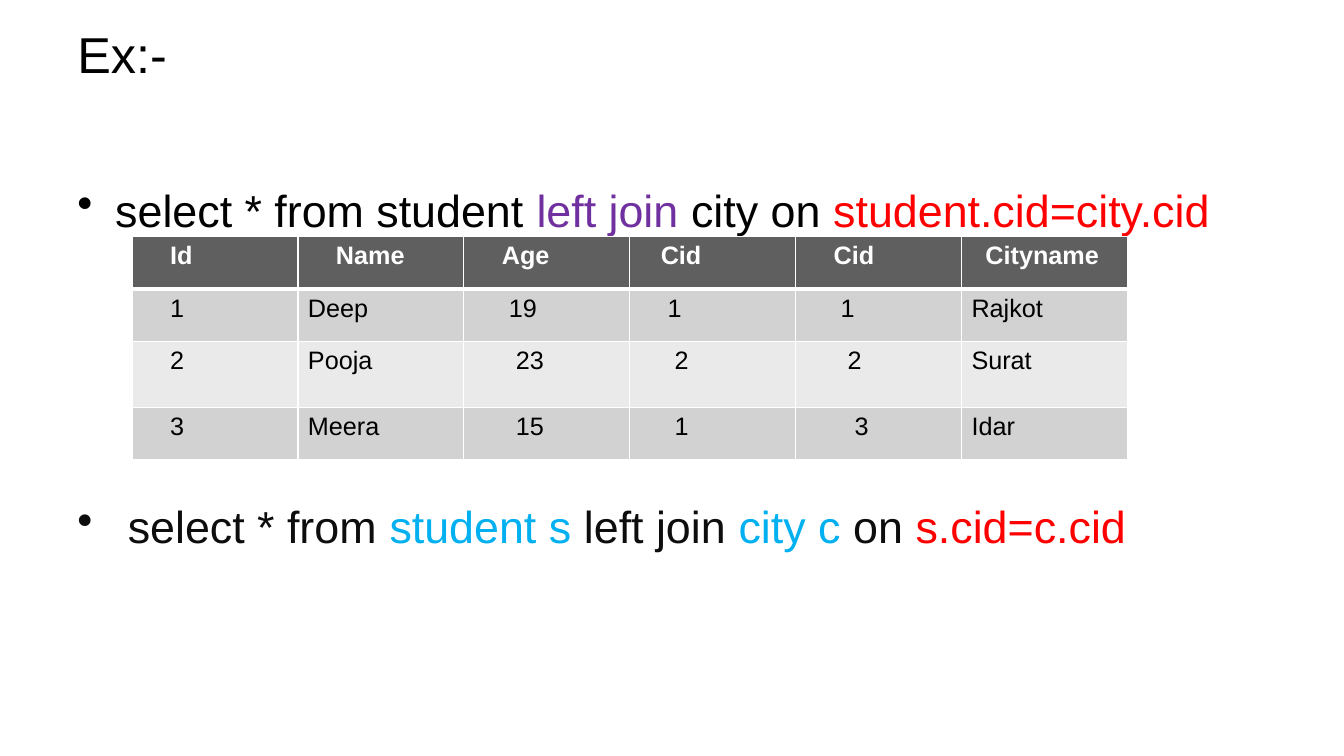
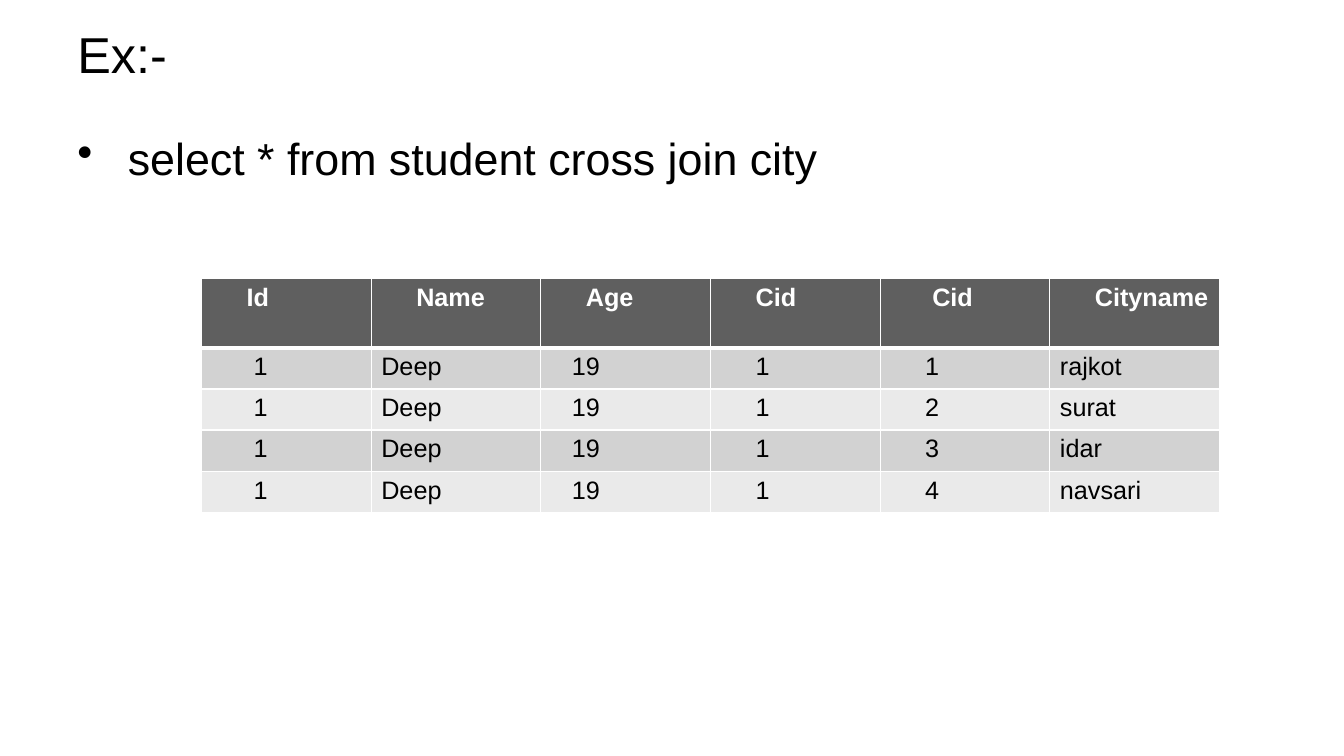
from lxml import etree
from pptx import Presentation
from pptx.dml.color import RGBColor
from pptx.enum.text import MSO_ANCHOR
from pptx.oxml.ns import qn
from pptx.util import Pt

FONT = "Arial"
BLACK = RGBColor(0x00, 0x00, 0x00)
INK = RGBColor(0x0D, 0x0D, 0x0D)
WHITE = RGBColor(0xFF, 0xFF, 0xFF)
PURPLE = RGBColor(0x70, 0x30, 0xA0)
RED = RGBColor(0xFF, 0x00, 0x00)
SKY = RGBColor(0x00, 0xB0, 0xF0)
HEADER = RGBColor(0x5F, 0x5F, 0x5F)
BANDS = [RGBColor(0xD2, 0xD2, 0xD2), RGBColor(0xEA, 0xEA, 0xEA)]

# Content: bullets are (space before, text indent, runs)
TITLE = "Ex:-"
COLUMNS = ["Id", "Name", "Age", "Cid", "Cid", "Cityname"]
CROSS_STEPS = [6, 0, 3, 5, 5, 0]

SLIDES = [
    dict(
        body=(126.7, 887, 386.6),
        bullets=[
            (4, 27, [("select * from student ", BLACK), ("left join", PURPLE),
                     (" city on ", BLACK), ("student.cid=city.cid", RED)]),
            (187.5, 36, [("select * from ", INK), ("student s", SKY),
                         (" left join ", INK), ("city c", SKY),
                         (" on ", INK), ("s.cid=c.cid", RED)]),
        ],
        table=(94.3, 169.2, 118.5),
        heights=[37.4, 37.4, 47, 37.4],
        rows=[["1", "Deep", "19", "1", "1", "Rajkot"],
              ["2", "Pooja", "23", "2", "2", "Surat"],
              ["3", "Meera", "15", "1", "3", "Idar"]],
        steps=[[4, 4, 4, 3, 4, 2], [4, 0, 5, 4, 5, 0],
               [4, 0, 6, 5, 6, 0], [4, 0, 6, 5, 7, 0]],
    ),
    dict(
        body=(90, 877.7, 434.2),
        bullets=[(4, 36, [("select * from student cross join city", BLACK)])],
        table=(144, 198.7, 121.2),
        heights=[49.7] + [29.4] * 4,
        rows=[["1", "Deep", "19", "1", str(cid), city] for cid, city in
              enumerate(["rajkot", "surat", "idar", "navsari"], 1)],
        steps=[[5, 5, 5, 5, 6, 5]] + [CROSS_STEPS] * 4,
    ),
]

LEFT = 48.2
CELL_MARGIN, STEP = 7.2, 5  # cell text is indented in steps


def style(p, size, color=None, bold=False):
    p.font.name, p.font.size, p.font.bold = FONT, Pt(size), bold
    if color is not None:
        p.font.color.rgb = color


def add_box(s, top, width, height):
    tf = s.shapes.add_textbox(Pt(LEFT), Pt(top), Pt(width), Pt(height)).text_frame
    tf.word_wrap = True
    return tf


def add_title(s):
    tf = add_box(s, 15.1, 864, 46.1)
    tf.vertical_anchor = MSO_ANCHOR.MIDDLE
    p = tf.paragraphs[0]
    p.text = TITLE
    style(p, 36, BLACK)


def add_bullets(s, box, bullets):
    tf = add_box(s, *box)
    for i, (before, indent, runs) in enumerate(bullets):
        p = tf.add_paragraph() if i else tf.paragraphs[0]
        p.space_before = Pt(before)
        style(p, 32)
        pPr = p._p.get_or_add_pPr()
        pPr.set("marL", str(Pt(indent)))
        pPr.set("indent", str(-Pt(indent)))
        bullet = etree.Element(qn("a:buChar"), char="•")
        pPr.find(qn("a:defRPr")).addprevious(bullet)
        for text, color in runs:
            r = p.add_run()
            r.text = text
            r.font.color.rgb = color


def set_borders(cell, top, bottom):
    tcPr = cell._tc.get_or_add_tcPr()
    for side, width in zip("LRTB", (1, 1, top, bottom)):
        ln = etree.SubElement(tcPr, qn(f"a:ln{side}"), w=str(Pt(width)))
        fill = etree.SubElement(ln, qn("a:solidFill"))
        etree.SubElement(fill, qn("a:srgbClr"), val=str(WHITE))


def add_result_table(s, place, heights, rows, steps):
    left, top, col_width = place
    grid = [COLUMNS] + rows
    table = s.shapes.add_table(
        len(grid), len(COLUMNS), Pt(left), Pt(top),
        Pt(col_width * len(COLUMNS)), Pt(sum(heights))).table
    table.first_row = table.horz_banding = False
    for col in table.columns:
        col.width = Pt(col_width)
    for i, (texts, indents) in enumerate(zip(grid, steps)):
        table.rows[i].height = Pt(heights[i])
        head = i == 0
        for j, (text, n) in enumerate(zip(texts, indents)):
            cell = table.cell(i, j)
            cell.margin_left = Pt(CELL_MARGIN + STEP * n)
            set_borders(cell, 3 if i == 1 else 1, 3 if head else 1)
            cell.fill.solid()
            cell.fill.fore_color.rgb = HEADER if head else BANDS[(i - 1) % 2]
            p = cell.text_frame.paragraphs[0]
            p.text = text
            style(p, 18, WHITE if head else BLACK, head)


# Build the slides
prs = Presentation()
prs.slide_width, prs.slide_height = Pt(960), Pt(540)
for d in SLIDES:
    s = prs.slides.add_slide(prs.slide_layouts[6])
    add_title(s)
    add_bullets(s, d["body"], d["bullets"])
    add_result_table(s, d["table"], d["heights"], d["rows"], d["steps"])
prs.save("out.pptx")
